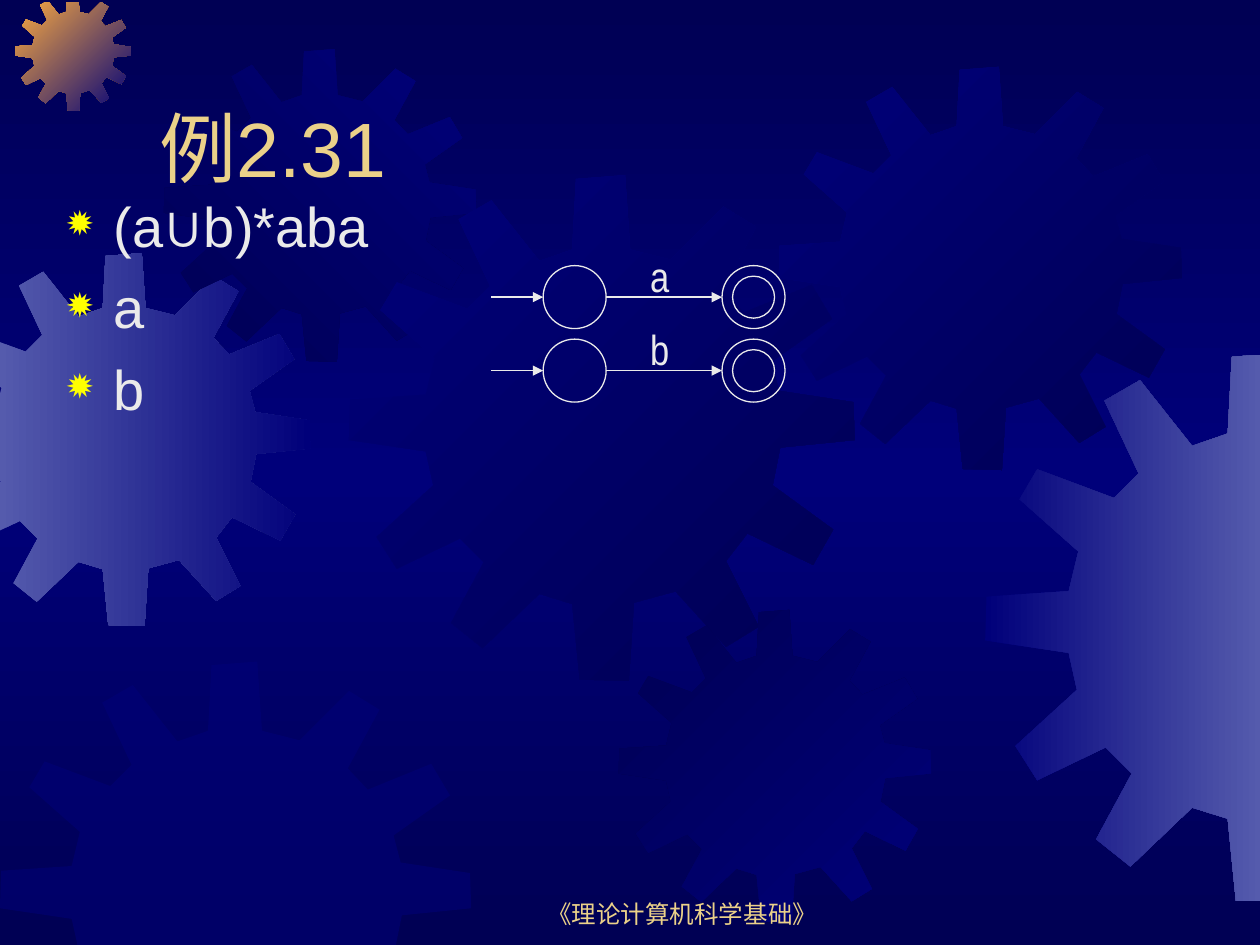
import copy
from dataclasses import dataclass

import lxml.etree
import pptx
import pptx.dml.color
import pptx.enum.shapes
import pptx.enum.text
import pptx.oxml.ns
import pptx.util

Pt = pptx.util.Pt
qn = pptx.oxml.ns.qn
ALIGN = pptx.enum.text.PP_ALIGN
ANCHOR = pptx.enum.text.MSO_ANCHOR

HUES = {"night": "000054", "navy": "00007A", "steel": "555BAD", "sun": "FCAB40",
        "gold": "EBD189", "pale": "EAEAEA", "star": "FFFF00"}

# Outline of a gear with twelve teeth, in a square of side 401
TEETH = [
    (255, 67), (223, 59), (219, 0), (180, 3), (177, 59), (151, 68), (113, 20), (87, 35),
    (112, 88), (94, 106), (38, 85), (25, 107), (68, 145), (61, 174), (1, 178), (0, 210),
    (61, 219), (67, 246), (22, 287), (38, 312), (88, 288), (107, 307), (81, 355), (106, 375),
    (151, 332), (177, 340), (183, 400), (222, 401), (226, 339), (259, 330), (299, 374), (325, 358),
    (299, 306), (316, 284), (368, 309), (384, 281), (336, 246), (342, 216), (401, 210), (400, 180),
    (341, 171), (335, 148), (383, 114), (367, 87), (313, 109), (296, 91), (323, 41), (297, 25)]
SIDE = 401

# Axis, limit, and which side to keep (1: above the limit, -1: below it)
EDGES = [(0, -0.5, 1), (0, 720.5, -1), (1, 1.5, 1), (1, 543, -1)]


@dataclass
class Gear:
    left: float
    top: float
    size: float
    hues: tuple
    angle: int = 0
    alpha: int = 100


@dataclass
class Label:
    left: float
    top: float
    width: float
    height: float
    lines: tuple
    size: float
    hue: str
    font: str = "Arial"
    align: ALIGN = ALIGN.LEFT
    anchor: ANCHOR = ANCHOR.TOP
    before: float = 0
    bullet: str = ""
    grow: bool = False


GEARS = [
    Gear(-35.3, 144.7, 213, ("steel", "navy")),
    Gear(8.6, -2.9, 66.2, ("sun", "navy"), 45),
    Gear(93.6, 28.1, 178.6, ("night", "navy"), 315),
    Gear(199.4, 100.1, 289, ("navy", "night"), 45),
    Gear(0, 378, 269.3, ("navy",), alpha=50),
    Gear(353.5, 348.5, 178.6, ("night", "navy"), 45),
    Gear(445, 38.2, 230.4, ("navy", "night"), 45),
    Gear(563, 201.6, 314, ("navy", "steel")),
]

LABELS = [
    Label(275.8, 498.2, 228.2, 36, ("《理论计算机科学基础》",), 14, "gold",
          align=ALIGN.CENTER, anchor=ANCHOR.BOTTOM),
    Label(84, 24, 612, 90, ("例2.31",), 44, "gold", anchor=ANCHOR.BOTTOM),
    Label(31, 106, 612, 180, ("(a∪b)*aba", "a", "b"), 32, "pale", before=8, bullet="✹"),
]


def tint(name: str) -> pptx.dml.color.RGBColor:
    return pptx.dml.color.RGBColor.from_string(HUES[name])


def add_tag(parent, tag: str, **attrs: str):
    return lxml.etree.SubElement(parent, qn(tag), attrs)


def blend(fill, hues: tuple, angle: int) -> None:
    """Fill with two hues; the angle runs clockwise."""
    fill.gradient()
    fill.gradient_angle = (360 - angle) % 360
    for stop, hue in zip(fill.gradient_stops, hues):
        stop.color.rgb = tint(hue)


def paint_back(slide) -> None:
    fill = slide.background.fill
    blend(fill, ("night", "navy"), 90)
    stops = slide.element.find(".//" + qn("a:gsLst"))
    stops.append(copy.deepcopy(stops[0]))
    for stop, place in zip(fill.gradient_stops, (0, 0.5, 1)):
        stop.position = place


def clip(dots: list, axis: int, limit: float, side: int) -> list:
    """Cut a polygon along one straight edge."""
    kept = []
    for one, two in zip(dots, dots[1:] + dots[:1]):
        near, far = (side * (dot[axis] - limit) for dot in (one, two))
        if near >= 0:
            kept.append(one)
        if near * far < 0:
            part = near / (near - far)
            kept.append(tuple(a + part * (b - a) for a, b in zip(one, two)))
    return kept


def draw_gear(slide, gear: Gear) -> None:
    scale = gear.size / SIDE
    dots = [(gear.left + x * scale, gear.top + y * scale) for x, y in TEETH]
    for edge in EDGES:
        dots = clip(dots, *edge)
    first, *rest = [(Pt(x), Pt(y)) for x, y in dots]
    pen = slide.shapes.build_freeform(*first)
    pen.add_line_segments(rest, close=True)
    shape = pen.convert_to_shape()
    shape.shadow.inherit = False
    shape.line.fill.background()
    if len(gear.hues) > 1:
        blend(shape.fill, gear.hues, gear.angle)
        return
    shape.fill.solid()
    shape.fill.fore_color.rgb = tint(gear.hues[0])
    color = shape.element.spPr.find(".//" + qn("a:srgbClr"))
    add_tag(color, "a:alpha", val=str(gear.alpha * 1000))


def add_bullet(para, mark: str) -> None:
    props = para._p.get_or_add_pPr()
    props.set("marL", str(Pt(27)))
    props.set("indent", str(Pt(-27)))
    add_tag(add_tag(props, "a:buClr"), "a:srgbClr", val=HUES["star"])
    add_tag(props, "a:buSzPct", val="80000")
    add_tag(props, "a:buChar", char=mark)


def write(slide, label: Label) -> None:
    box = slide.shapes.add_textbox(
        Pt(label.left), Pt(label.top), Pt(label.width), Pt(label.height))
    frame = box.text_frame
    frame.word_wrap = True
    frame.vertical_anchor = label.anchor
    if label.grow:
        frame.auto_size = pptx.enum.text.MSO_AUTO_SIZE.SHAPE_TO_FIT_TEXT
    for i, line in enumerate(label.lines):
        para = frame.add_paragraph() if i else frame.paragraphs[0]
        para.alignment = label.align
        para.space_before = Pt(label.before)
        if label.bullet:
            add_bullet(para, label.bullet)
        run = para.add_run()
        run.text = line
        run.font.name = label.font
        run.font.size = Pt(label.size)
        run.font.color.rgb = tint(label.hue)


def draw_ring(slide, left: float, top: float, size: float) -> None:
    ring = slide.shapes.add_shape(
        pptx.enum.shapes.MSO_SHAPE.OVAL, Pt(left), Pt(top), Pt(size), Pt(size))
    ring.shadow.inherit = False
    ring.fill.background()
    ring.line.color.rgb = tint("pale")
    ring.line.width = Pt(0.75)


def draw_arrow(slide, start: float, end: float, y: float) -> None:
    arrow = slide.shapes.add_connector(
        pptx.enum.shapes.MSO_CONNECTOR.STRAIGHT, Pt(start), Pt(y), Pt(end), Pt(y))
    arrow.line.color.rgb = tint("pale")
    arrow.line.width = Pt(0.75)
    add_tag(arrow.line._get_or_add_ln(), "a:tailEnd", type="triangle")
    add_tag(arrow.element.spPr, "a:effectLst")


def draw_graph(slide, letter: str, top: float) -> None:
    """Draw an automaton that accepts one letter."""
    size, inner, first, last = 36, 24, 310.4, 412.6
    gap = (size - inner) / 2
    mid = top + size / 2
    draw_ring(slide, first, top, size)
    draw_arrow(slide, 280.6, first, mid)
    draw_arrow(slide, first + size, last, mid)
    draw_ring(slide, last, top, size)
    draw_ring(slide, last + gap, top + gap, inner)
    write(slide, Label(364.4, top - 12.2, 36, 36, (letter,), 24, "pale",
                       font="Arial Narrow", before=15, grow=True))


def main() -> None:
    deck = pptx.Presentation()
    deck.slide_width, deck.slide_height = Pt(720), Pt(540)
    slide = deck.slides.add_slide(deck.slide_layouts[6])
    paint_back(slide)
    for gear in GEARS:
        draw_gear(slide, gear)
    for label in LABELS:
        write(slide, label)
    for row, letter in enumerate("ab"):
        draw_graph(slide, letter, 151.8 + row * 42)
    deck.save("out.pptx")


if __name__ == "__main__":
    main()
